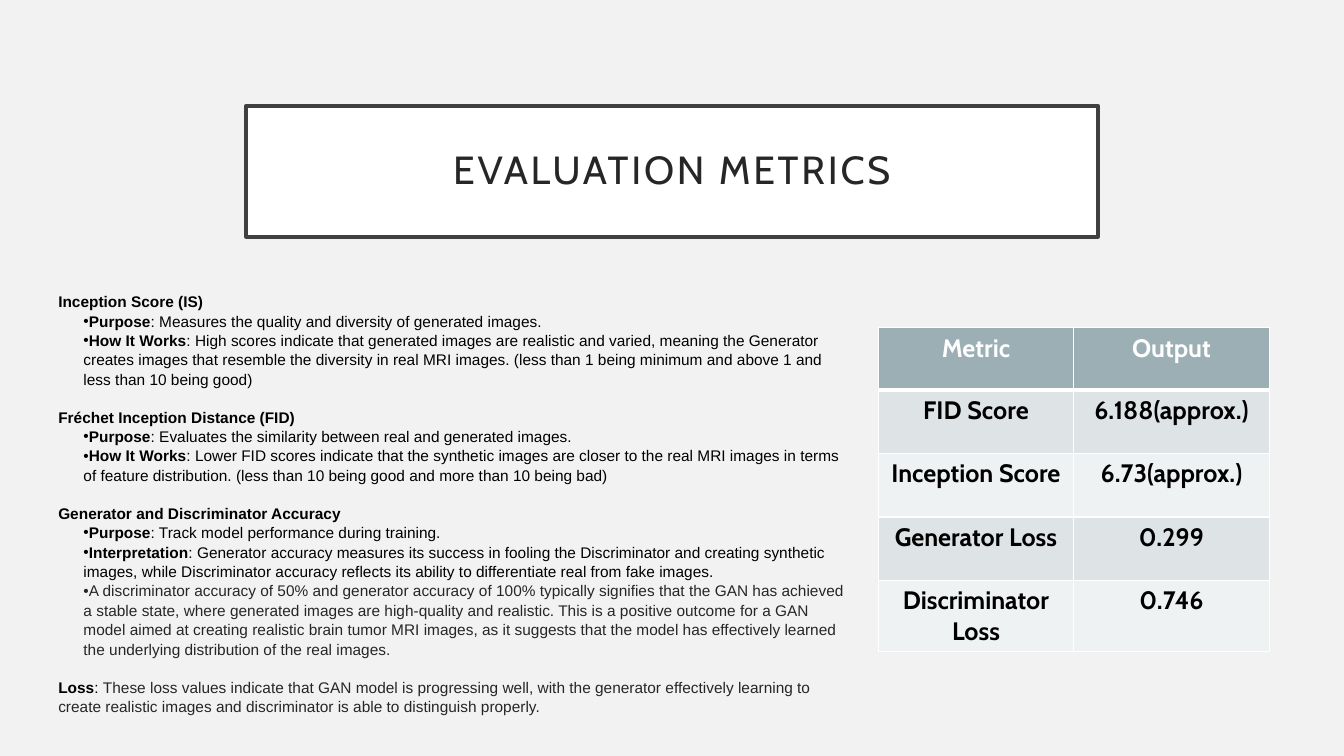
from lxml.etree import SubElement
from pptx import Presentation
from pptx.dml.color import RGBColor
from pptx.enum.shapes import MSO_SHAPE
from pptx.enum.text import MSO_ANCHOR, PP_ALIGN
from pptx.oxml.ns import qn
from pptx.util import Inches, Pt

BLACK, DARK, WHITE = "000000", "262626", "FFFFFF"
HEADER_FILL, BAND_FILLS = "9BAFB5", ("DEE3E5", "EFF2F3")

# Each section: heading, then bullets as (bold label, text, text colour)
SECTIONS = [
    ("Inception Score (IS)", [
        ("Purpose", ": Measures the quality and diversity of generated images.", BLACK),
        ("How It Works", ": High scores indicate that generated images are realistic and varied, "
         "meaning the Generator creates images that resemble the diversity in real MRI images. "
         "(less than 1 being minimum and above 1 and less than 10 being good)", BLACK),
    ]),
    ("Fréchet Inception Distance (FID)", [
        ("Purpose", ": Evaluates the similarity between real and generated images.", BLACK),
        ("How It Works", ": Lower FID scores indicate that the synthetic images are closer to the "
         "real MRI images in terms of feature distribution. "
         "(less than 10 being good and more than 10 being bad)", BLACK),
    ]),
    ("Generator and Discriminator Accuracy", [
        ("Purpose", ": Track model performance during training.", BLACK),
        ("Interpretation", ": Generator accuracy measures its success in fooling the Discriminator "
         "and creating synthetic images, while Discriminator accuracy reflects its ability to "
         "differentiate real from fake images.", BLACK),
        ("", "A discriminator accuracy of 50% and generator accuracy of 100% typically signifies "
         "that the GAN has achieved a stable state, where generated images are high-quality and "
         "realistic. This is a positive outcome for a GAN model aimed at creating realistic brain "
         "tumor MRI images, as it suggests that the model has effectively learned the underlying "
         "distribution of the real images.", DARK),
    ]),
]
LOSS_NOTE = ("These loss values indicate that GAN model is progressing well, with the generator "
             "effectively learning to create realistic images and discriminator is able to "
             "distinguish properly.")
RESULTS = [
    ("Metric", "Output"),
    ("FID Score", "6.188(approx.)"),
    ("Inception Score", "6.73(approx.)"),
    ("Generator Loss", "0.299"),
    ("Discriminator Loss", "0.746"),
]


def rgb(value):
    return RGBColor.from_string(value)


def paint(fill, color):
    fill.solid()
    fill.fore_color.rgb = rgb(color)


def add_run(paragraph, text, size, color, font="Arial", bold=False):
    run = paragraph.add_run()
    run.text = text
    run.font.name, run.font.size, run.font.bold = font, Pt(size), bold
    run.font.color.rgb = rgb(color)
    return run


def add_title(slide, text):
    banner = slide.shapes.add_shape(MSO_SHAPE.RECTANGLE, Inches(2.44), Inches(1.05),
                                    Inches(8.45), Inches(1.3))
    banner.shadow.inherit = False
    paint(banner.fill, WHITE)
    banner.line.color.rgb = rgb("404040")
    banner.line.width = Pt(2.5)
    frame = banner.text_frame
    frame.word_wrap = True
    frame.vertical_anchor = MSO_ANCHOR.MIDDLE
    heading = frame.paragraphs[0]
    heading.alignment = PP_ALIGN.CENTER
    heading.line_spacing = 0.9
    run = add_run(heading, text, 28, DARK, "Cabin")
    run.font._element.set("spc", "200")


def add_line(frame, pieces, gap=0, bullet=False):
    """Add one paragraph; pieces are (text, colour, bold)."""
    first = frame.paragraphs[0]
    line = frame.add_paragraph() if first.runs else first
    line.line_spacing = 1.05
    line.space_before = Pt(gap)
    if bullet:
        properties = line._p.get_or_add_pPr()
        properties.set("marL", str(Inches(0.25)))
        properties.set("indent", "0")
        SubElement(properties, qn("a:buFont"), typeface="Arial")
        SubElement(properties, qn("a:buChar"), char="•")
    for text, color, bold in pieces:
        add_run(line, text, 11, color, bold=bold)


def add_explanations(slide):
    box = slide.shapes.add_textbox(Inches(0.48), Inches(2.91), Inches(8.03), Inches(4.17))
    frame = box.text_frame
    frame.word_wrap = True
    frame.vertical_anchor = MSO_ANCHOR.MIDDLE
    section_gap = 13.25
    for index, (heading, bullets) in enumerate(SECTIONS):
        add_line(frame, [(heading, BLACK, True)], gap=section_gap if index else 0)
        for label, text, color in bullets:
            pieces = [(label, BLACK, True)] if label else []
            add_line(frame, pieces + [(text, color, False)], bullet=True)
    add_line(frame, [("Loss", BLACK, True), (": ", BLACK, False), (LOSS_NOTE, DARK, False)],
             gap=section_gap)


def add_borders(cell, bottom_width, top_width):
    properties = cell._tc.get_or_add_tcPr()
    widths = {"a:lnL": 1, "a:lnR": 1, "a:lnT": top_width, "a:lnB": bottom_width}
    for position, (side, width) in enumerate(widths.items()):
        border = SubElement(properties, qn(side), w=str(Pt(width)))
        SubElement(SubElement(border, qn("a:solidFill")), qn("a:srgbClr"), val=WHITE)
        properties.insert(position, border)  # borders precede the fill


def add_results(slide):
    row_height = Inches(0.63)
    table = slide.shapes.add_table(len(RESULTS), 2, Inches(8.71), Inches(3.25),
                                   Inches(3.88), row_height * len(RESULTS)).table
    for row, values in enumerate(RESULTS):
        table.rows[row].height = row_height if row else Inches(0.62)
        for column, value in enumerate(values):
            cell = table.cell(row, column)
            paint(cell.fill, BAND_FILLS[(row - 1) % 2] if row else HEADER_FILL)
            add_borders(cell, bottom_width=1 if row else 3, top_width=3 if row == 1 else 1)
            entry = cell.text_frame.paragraphs[0]
            entry.alignment = PP_ALIGN.CENTER
            add_run(entry, value, 18, BLACK if row else WHITE, "Cabin", bold=True)


def main():
    deck = Presentation()
    deck.slide_width, deck.slide_height = Inches(13.33), Inches(7.5)
    slide = deck.slides.add_slide(deck.slide_layouts[6])
    paint(slide.background.fill, "F2F2F2")
    add_title(slide, "EVALUATION METRICS")
    add_explanations(slide)
    add_results(slide)
    deck.save("out.pptx")


if __name__ == "__main__":
    main()
